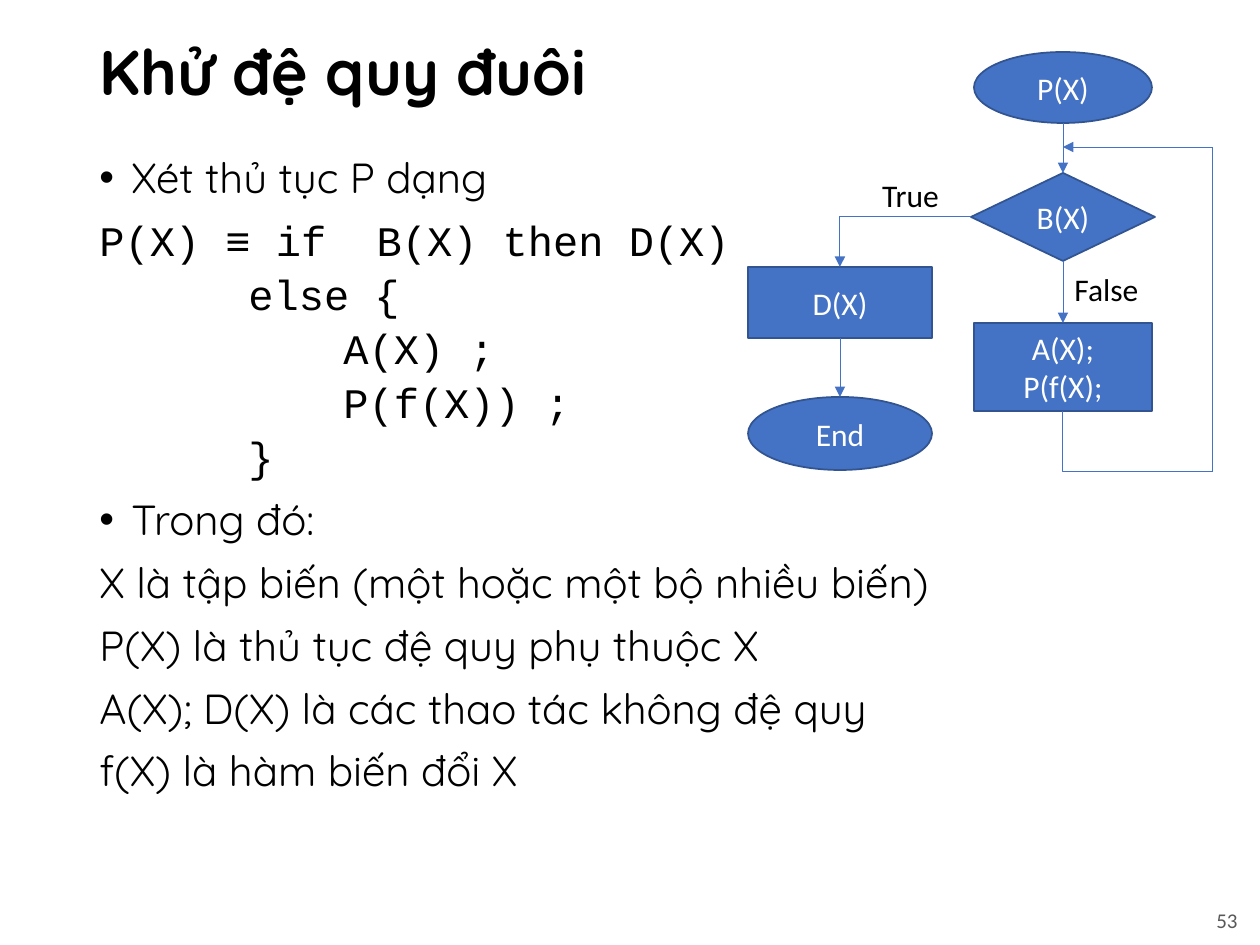
"""Build the slide on removing tail recursion, with its flowchart."""
import pptx
import pptx.util
import pptx.dml.color
import pptx.enum.shapes
import pptx.enum.text
import pptx.oxml
import pptx.oxml.ns

SHAPE = pptx.enum.shapes.MSO_SHAPE
CONNECTOR = pptx.enum.shapes.MSO_CONNECTOR
ALIGN = pptx.enum.text.PP_ALIGN
ANCHOR = pptx.enum.text.MSO_ANCHOR
RGB = pptx.dml.color.RGBColor
BLACK = RGB(0x00, 0x00, 0x00)
WHITE = RGB(0xFF, 0xFF, 0xFF)
GRAY = RGB(0x59, 0x59, 0x59)
BLUE = RGB(0x44, 0x72, 0xC4)
NAVY = RGB(0x32, 0x54, 0x91)
PX = 914400 / 126

TITLE = "Khử đệ quy đuôi"
TITLE_AREA = (87, 20, 1086, 110)
BODY_AREA = (87, 151, 1086, 774)
STYLES = {
    "bullet": dict(font="Quicksand", before=10, indent=32, bullet=True),
    "plain": dict(font="Quicksand", before=10),
    "code": dict(font="Courier New", before=10),
    "branch": dict(font="Courier New", before=5, indent=149),
    "step": dict(font="Courier New", before=5, indent=244),
}
BODY = [
    ("bullet", "Xét thủ tục P dạng"),
    ("code", "P(X) ≡ if  B(X) then D(X)"),
    ("branch", "else {"),
    ("step", "A(X) ;"),
    ("step", "P(f(X)) ;"),
    ("branch", "}"),
    ("bullet", "Trong đó:"),
    ("plain", "X là tập biến (một hoặc một bộ nhiều biến)"),
    ("plain", "P(X) là thủ tục đệ quy phụ thuộc X"),
    ("plain", "A(X); D(X) là các thao tác không đệ quy"),
    ("plain", "f(X) là hàm biến đổi X"),
]

LEFT_X, RIGHT_X, LOOP_X = 840, 1063, 1212
JOIN_Y, LOOP_Y = 147, 472
NODES = {
    "start": (SHAPE.OVAL, RIGHT_X, 52, 178, 71, ["P(X)"]),
    "test": (SHAPE.DIAMOND, RIGHT_X, 173, 184, 88, ["B(X)"]),
    "repeat": (SHAPE.RECTANGLE, RIGHT_X, 323, 178, 88, ["A(X);", "P(f(X);"]),
    "finish": (SHAPE.RECTANGLE, LEFT_X, 267, 184, 71, ["D(X)"]),
    "end": (SHAPE.OVAL, LEFT_X, 397, 184, 73, ["End"]),
}
LABELS = [
    ("True", (857, 168, 107, 54), ALIGN.CENTER, 18, BLACK),
    ("False", (1055, 265, 103, 47), ALIGN.CENTER, 18, BLACK),
    ("53", (1092, 895, 158, 50), ALIGN.RIGHT, 12, GRAY),
]


def emu(*lengths):
    return [round(length * PX) for length in lengths]


def write(frame, text, font="Calibri", size=18, color=BLACK, bold=False,
          align=ALIGN.LEFT, spacing=1.0, before=0, indent=0, bullet=False):
    para = frame.paragraphs[0] if not frame.text else frame.add_paragraph()
    para.alignment = align
    para.line_spacing = spacing
    para.space_before = pptx.util.Pt(before)
    span = para.add_run()
    span.text = text
    span.font.name = font
    span.font.size = pptx.util.Pt(size)
    span.font.bold = bold
    span.font.color.rgb = color
    margin = emu(indent)[0]
    properties = para._p.get_or_add_pPr()
    properties.set("marL", str(margin))
    properties.set("indent", str(-margin if bullet else 0))
    if bullet:
        for tag, key, value in (("a:buFont", "typeface", "Arial"), ("a:buChar", "char", "•")):
            mark = pptx.oxml.ns.qn(tag)
            properties.append(properties.makeelement(mark, {key: value}))


def add_text_box(slide, area, anchor):
    frame = slide.shapes.add_textbox(*emu(*area)).text_frame
    frame.word_wrap = True
    frame.vertical_anchor = anchor
    return frame


def add_node(slide, kind, center, top, width, height, lines):
    box = slide.shapes.add_shape(kind, *emu(center - width / 2, top, width, height))
    box.shadow.inherit = False
    box.fill.solid()
    box.fill.fore_color.rgb = BLUE
    box.line.color.rgb = NAVY
    box.line.width = pptx.util.Pt(1)
    box.text_frame.vertical_anchor = ANCHOR.MIDDLE
    for text in lines:
        write(box.text_frame, text, color=WHITE, align=ALIGN.CENTER)


def add_line(slide, start, finish, arrow=True, bent=False):
    kind = CONNECTOR.ELBOW if bent else CONNECTOR.STRAIGHT
    link = slide.shapes.add_connector(kind, *emu(*start, *finish))
    link.line.color.rgb = BLUE
    link.line.width = pptx.util.Pt(0.5)
    properties = link._element.spPr
    if bent:
        properties.find(pptx.oxml.ns.qn("a:prstGeom")).set("prst", "bentConnector2")
    if arrow:
        head = pptx.oxml.ns.qn("a:tailEnd")
        outline = link.line._get_or_add_ln()
        outline.append(outline.makeelement(head, {"type": "triangle"}))
    properties.append(properties.makeelement(pptx.oxml.ns.qn("a:effectLst"), {}))


def top_of(name):
    return NODES[name][1], NODES[name][2]


def bottom_of(name):
    return NODES[name][1], NODES[name][2] + NODES[name][4]


def main():
    deck = pptx.Presentation()
    deck.slide_width, deck.slide_height = emu(1260, 945)
    slide = deck.slides.add_slide(deck.slide_layouts[5])

    title = slide.shapes.title
    title.left, title.top, title.width, title.height = emu(*TITLE_AREA)
    title.text_frame.vertical_anchor = ANCHOR.MIDDLE
    title.text_frame.auto_size = pptx.enum.text.MSO_AUTO_SIZE.NONE
    write(title.text_frame, TITLE, font="Quicksand", size=36, bold=True, spacing=0.9)

    body = add_text_box(slide, BODY_AREA, ANCHOR.TOP)
    for style, text in BODY:
        write(body, text, size=24, spacing=0.9, **STYLES[style])

    for node in NODES.values():
        add_node(slide, *node)
    for source, target in (("start", "test"), ("test", "repeat"), ("finish", "end")):
        add_line(slide, bottom_of(source), top_of(target))

    _, center, top, width, height, _ = NODES["test"]
    add_line(slide, (center - width / 2, top + height / 2), top_of("finish"), bent=True)
    add_line(slide, (LOOP_X, LOOP_Y), bottom_of("repeat"), arrow=False, bent=True)
    add_line(slide, (LOOP_X, LOOP_Y), (LOOP_X, JOIN_Y), arrow=False)
    add_line(slide, (LOOP_X, JOIN_Y), (RIGHT_X, JOIN_Y))

    for text, area, align, size, color in LABELS:
        frame = add_text_box(slide, area, ANCHOR.MIDDLE)
        write(frame, text, align=align, size=size, color=color)
    deck.save("out.pptx")


if __name__ == "__main__":
    main()
